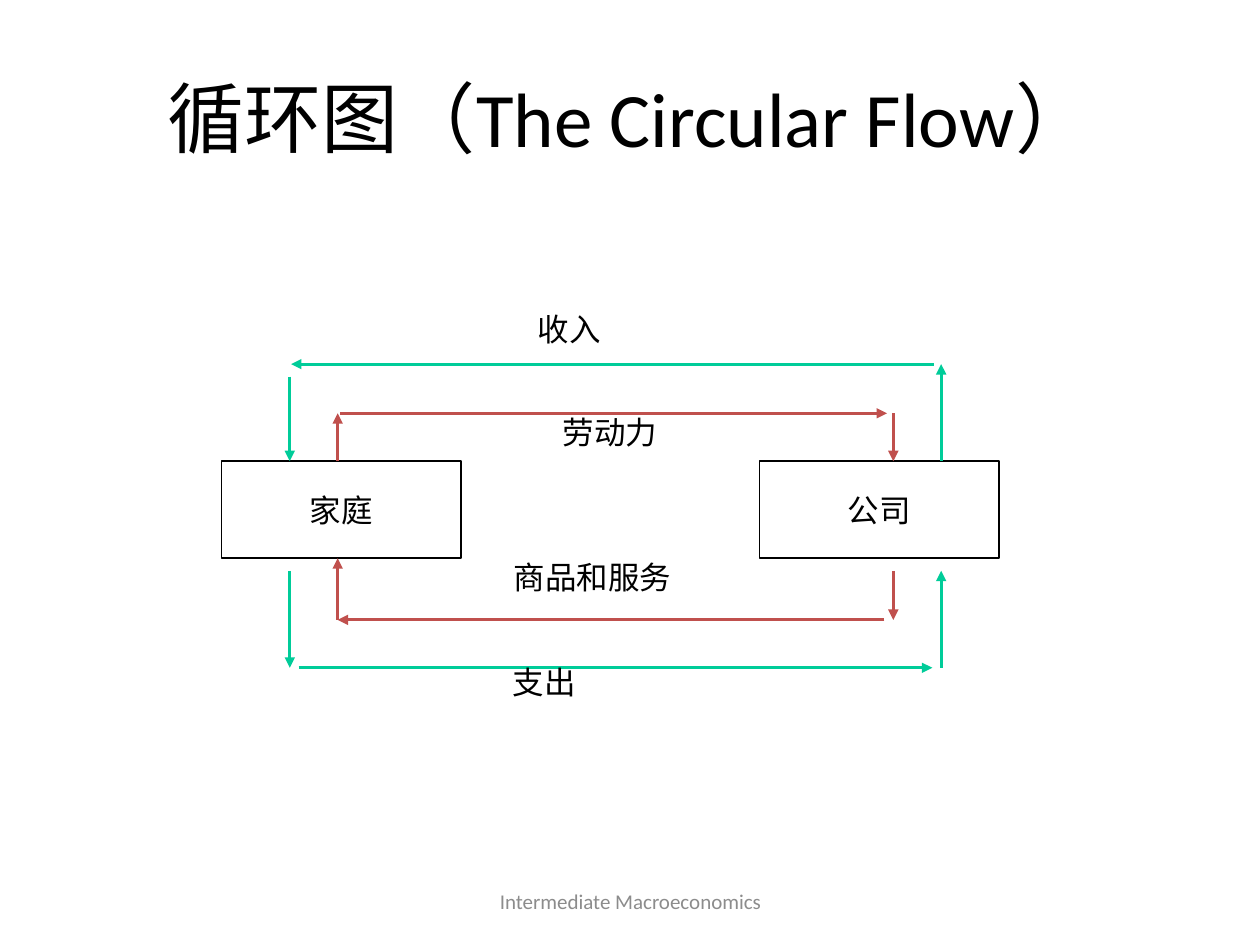
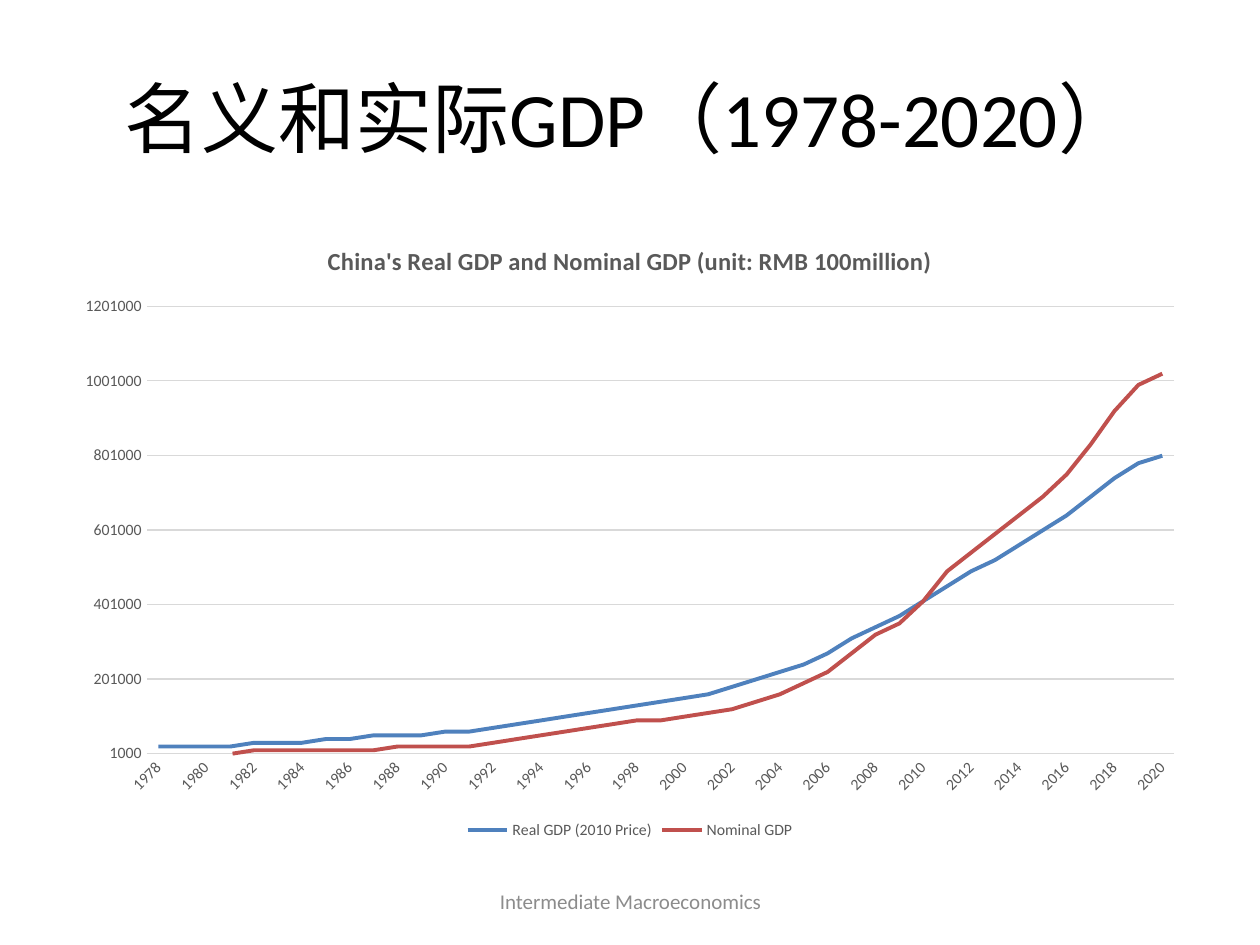
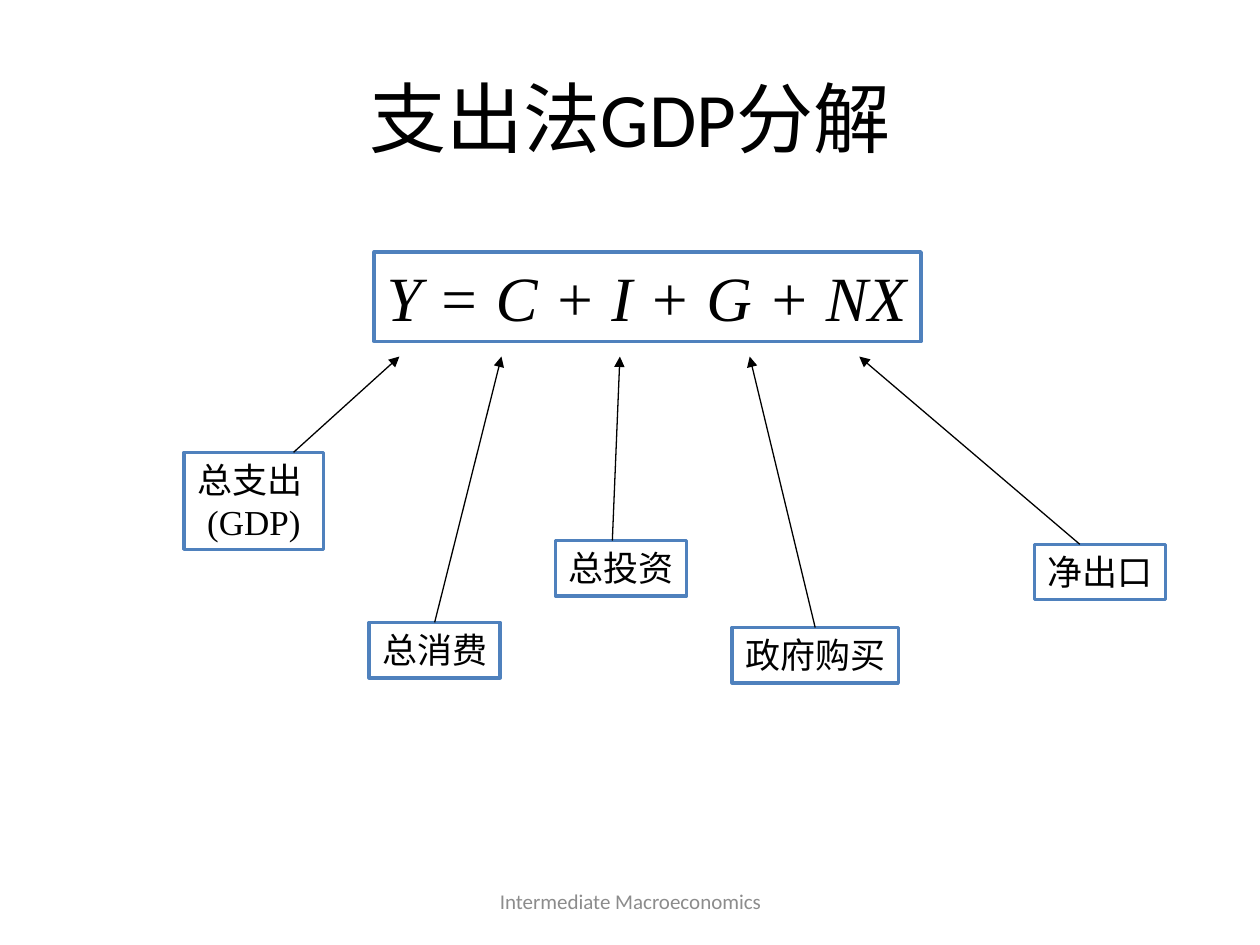
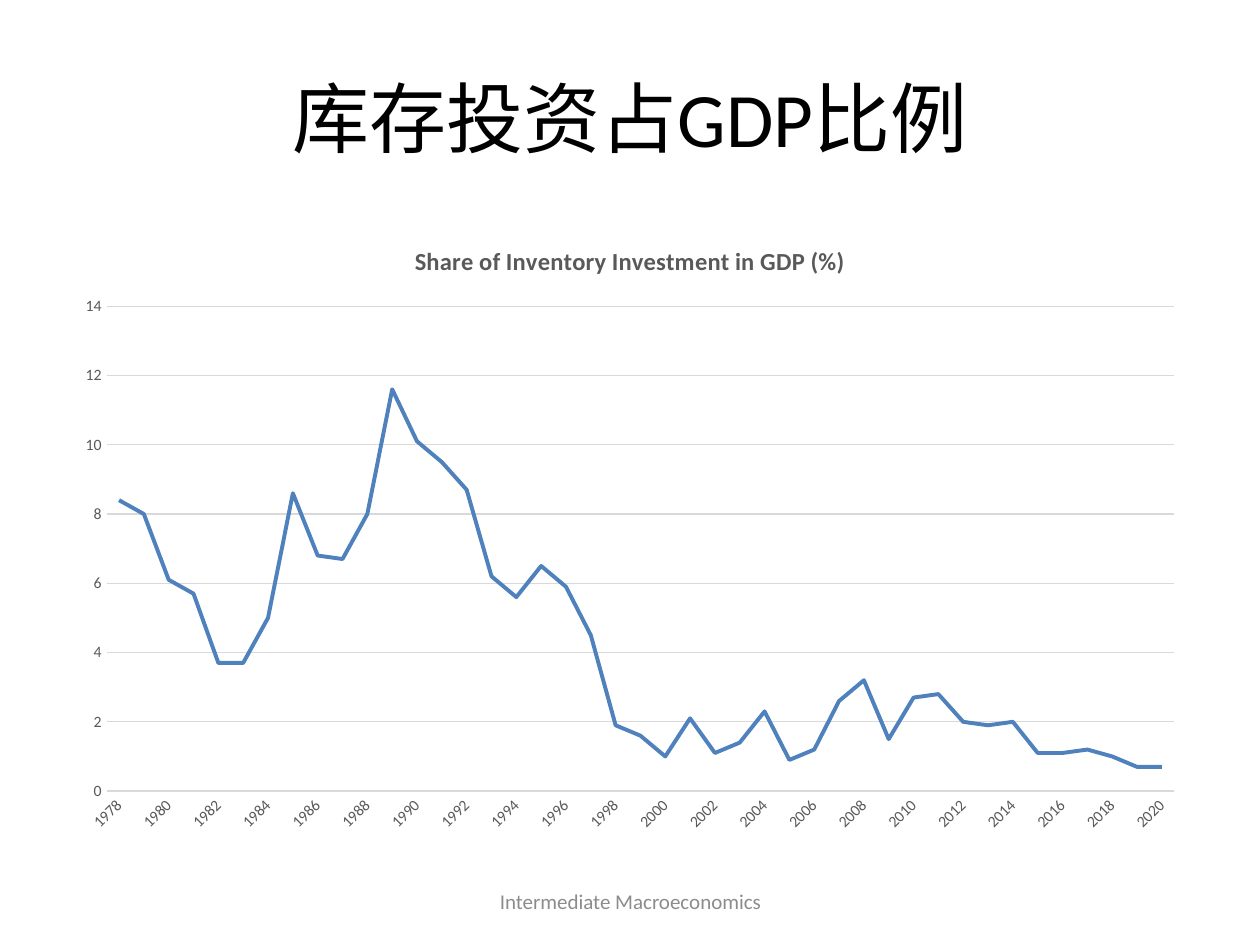
from dataclasses import dataclass

from lxml.etree import SubElement
from pptx import Presentation
from pptx.chart.data import CategoryChartData
from pptx.dml.color import RGBColor
from pptx.enum.chart import XL_CHART_TYPE as ChartType
from pptx.enum.chart import XL_LEGEND_POSITION as LegendPosition
from pptx.enum.chart import XL_TICK_MARK as TickMark
from pptx.enum.shapes import MSO_CONNECTOR as Connector
from pptx.enum.shapes import MSO_SHAPE as Shape
from pptx.enum.text import MSO_ANCHOR as Anchor
from pptx.enum.text import MSO_AUTO_SIZE as AutoSize
from pptx.enum.text import PP_ALIGN as Align
from pptx.oxml.ns import qn
from pptx.util import Inches, Pt


@dataclass(frozen=True)
class Theme:
    sans: str = "Calibri"
    serif: str = "Times New Roman"
    ink: str = "000000"
    paper: str = "FFFFFF"
    footer: str = "8C8C8C"
    chart_text: str = "595959"
    grid: str = "D9D9D9"
    blue: str = "4F81BD"
    red: str = "C0504D"
    green: str = "00CC99"
    title_size: float = 44
    formula_size: float = 36
    term_size: float = 20
    flow_size: float = 18
    chart_title_size: float = 14
    footer_size: float = 12
    axis_size: float = 9
    hairline: float = 0.75
    flow_line: float = 1.75
    frame_line: float = 2
    series_line: float = 2.25


@dataclass(frozen=True)
class Box:
    left: float
    top: float
    width: float
    height: float

    def lengths(self):
        return [Inches(v) for v in (self.left, self.top, self.width, self.height)]

    def inner(self, left, top, width, height):
        return Box(self.left + left, self.top + top, width, height)

    def point(self, x, y):
        return Inches(self.left + x), Inches(self.top + y)


THEME = Theme()
TITLE_BOX = Box(0.5, 0.3, 9, 1.25)
FOOTER_BOX = Box(3.42, 6.95, 3.17, 0.4)
CHART_BOX = Box(0.5, 1.75, 9, 4.95)
FLOW_BOX = Box(1.76, 2.41, 6.17, 3.2)
FORMULA_BOX = Box(1.46, 2, 7.79, 3.42)
FOOTER = "Intermediate Macroeconomics"

YEARS = [str(year) for year in range(1978, 2021)]
REAL_GDP = [
    2, 2, 2, 2, 3, 3, 3, 4, 4, 5, 5, 5, 6, 6, 7, 8, 9, 10, 11, 12, 13, 14, 15, 16,
    18, 20, 22, 24, 27, 31, 34, 37, 41, 45, 49, 52, 56, 60, 64, 69, 74, 78, 80,
]
NOMINAL_GDP = [
    0, 0, 0, 0, 1, 1, 1, 1, 1, 1, 2, 2, 2, 2, 3, 4, 5, 6, 7, 8, 9, 9, 10, 11,
    12, 14, 16, 19, 22, 27, 32, 35, 41, 49, 54, 59, 64, 69, 75, 83, 92, 99, 102,
]
INVENTORY_SHARE = [
    8.4, 8, 6.1, 5.7, 3.7, 3.7, 5, 8.6, 6.8, 6.7, 8, 11.6, 10.1, 9.5, 8.7,
    6.2, 5.6, 6.5, 5.9, 4.5, 1.9, 1.6, 1, 2.1, 1.1, 1.4, 2.3, 0.9, 1.2,
    2.6, 3.2, 1.5, 2.7, 2.8, 2, 1.9, 2, 1.1, 1.1, 1.2, 1, 0.7, 0.7,
]

# Each arrow: x and y of its start, then of its end, within the flow diagram
MONEY_ARROWS = [
    (5.71, 1.25, 5.71, 0.48), (5.65, 0.48, 0.55, 0.48), (0.54, 0.58, 0.54, 1.25),
    (0.54, 2.12, 0.54, 2.89), (0.61, 2.89, 5.64, 2.89), (5.71, 2.89, 5.71, 2.12),
]
GOODS_ARROWS = [
    (0.92, 1.25, 0.92, 0.87), (0.94, 0.87, 5.28, 0.87), (5.33, 0.87, 5.33, 1.25),
    (5.33, 2.12, 5.33, 2.51), (5.26, 2.51, 0.92, 2.51), (0.92, 2.51, 0.92, 2.02),
]
FLOW_LABELS = [
    ("收入", 2.41, 0, 0.71), ("劳动力", 2.61, 0.82, 0.96),
    ("商品和服务", 2.22, 1.97, 1.46), ("支出", 2.21, 2.8, 0.71),
]
# Lines of text, place, arrow start from the frame's left (None: middle), arrow tip
FORMULA_TERMS = [
    (["总支出 ", "(GDP)"], (0, 1.59, 1.11, 0.77), 0.87, 1.71),
    (["总消费"], (1.47, 2.94, 1.04, 0.44), None, 2.52),
    (["总投资"], (2.95, 2.29, 1.04, 0.44), 0.45, 3.46),
    (["政府购买"], (4.35, 2.98, 1.32, 0.44), None, 4.49),
    (["净出口"], (6.75, 2.32, 1.04, 0.44), 0.36, 5.36),
]


def rgb(color):
    return RGBColor.from_string(color)


def assign(target, values):
    for name, value in values.items():
        setattr(target, name, value)


def style_font(font, face, size, color, **extra):
    assign(font, {"name": face, "size": Pt(size), **extra})
    font.color.rgb = rgb(color)


def style_line(line, color, width):
    line.color.rgb = rgb(color)
    line.width = Pt(width)


def write(frame, lines, face, size, color=THEME.ink, align=Align.CENTER,
          italic=None, **layout):
    """Fill a text frame with one paragraph a line; layout holds frame attributes."""
    assign(frame, layout)
    for number, line in enumerate(lines):
        paragraph = frame.add_paragraph() if number else frame.paragraphs[0]
        paragraph.alignment = align
        run = paragraph.add_run()
        run.text = line
        style_font(run.font, face, size, color, italic=italic)


def add_frame(shapes, box, lines, size, color, width, **text):
    frame = shapes.add_shape(Shape.RECTANGLE, *box.lengths())
    frame.shadow.inherit = False
    frame.fill.solid()
    frame.fill.fore_color.rgb = rgb(THEME.paper)
    style_line(frame.line, color, width)
    write(frame.text_frame, lines, THEME.serif, size, word_wrap=False, **text)
    return frame


def add_arrow(shapes, start, end, color, width):
    arrow = shapes.add_connector(Connector.STRAIGHT, *start, *end)
    style_line(arrow.line, color, width)
    properties = arrow._element.spPr
    SubElement(properties.find(qn("a:ln")), qn("a:tailEnd"), type="triangle")
    SubElement(properties, qn("a:effectLst"))
    return arrow


def add_titled_slide(deck, title):
    slide = deck.slides.add_slide(deck.slide_layouts[5])
    heading = slide.shapes.title
    assign(heading, dict(zip(("left", "top", "width", "height"), TITLE_BOX.lengths())))
    write(heading.text_frame, [title], THEME.sans, THEME.title_size,
          vertical_anchor=Anchor.MIDDLE)
    footer = slide.shapes.add_textbox(*FOOTER_BOX.lengths())
    write(footer.text_frame, [FOOTER], THEME.sans, THEME.footer_size, THEME.footer,
          word_wrap=True, vertical_anchor=Anchor.MIDDLE)
    return slide


def add_circular_flow(slide, box):
    shapes = slide.shapes.add_group_shape().shapes
    for sector, left in (("家庭", 0), ("公司", 4.27)):
        add_frame(shapes, box.inner(left, 1.25, 1.9, 0.77), [sector], THEME.flow_size,
                  THEME.ink, THEME.hairline, vertical_anchor=Anchor.MIDDLE)
    for color, arrows in ((THEME.green, MONEY_ARROWS), (THEME.red, GOODS_ARROWS)):
        for x1, y1, x2, y2 in arrows:
            add_arrow(shapes, box.point(x1, y1), box.point(x2, y2),
                      color, THEME.flow_line)
    for flow, left, top, width in FLOW_LABELS:
        label = shapes.add_textbox(*box.inner(left, top, width, 0.4).lengths())
        write(label.text_frame, [flow], THEME.serif, THEME.flow_size, align=Align.LEFT,
              word_wrap=False, auto_size=AutoSize.SHAPE_TO_FIT_TEXT)


def add_formula(slide, box):
    grow = {"auto_size": AutoSize.SHAPE_TO_FIT_TEXT, "vertical_anchor": Anchor.TOP}
    add_frame(slide.shapes, box.inner(1.51, 0, 4.34, 0.71), ["Y = C + I + G + NX"],
              THEME.formula_size, THEME.blue, THEME.frame_line,
              align=Align.LEFT, italic=True, **grow)
    for lines, place, exit_x, tip_x in FORMULA_TERMS:
        shapes = slide.shapes.add_group_shape().shapes
        term_box = box.inner(*place)
        term = add_frame(shapes, term_box, lines, THEME.term_size,
                         THEME.blue, THEME.frame_line, **grow)
        start_x = term_box.width / 2 if exit_x is None else exit_x
        arrow = add_arrow(shapes, term_box.point(start_x, 0), box.point(tip_x, 0.83),
                          THEME.ink, THEME.hairline)
        if exit_x is None:
            arrow.begin_connect(term, 0)


def style_axes(chart):
    years, values = chart.category_axis, chart.value_axis
    for axis in (years, values):
        assign(axis, {"major_tick_mark": TickMark.NONE, "minor_tick_mark": TickMark.NONE})
        style_font(axis.tick_labels.font, THEME.sans, THEME.axis_size, THEME.chart_text)
        # Automatic label rotation
        axis._element.find(qn("c:txPr")).find(qn("a:bodyPr")).set("rot", "-60000000")
    assign(values.tick_labels, {"number_format": "General",
                                "number_format_is_linked": False})
    style_line(years.format.line, THEME.grid, THEME.hairline)
    values.format.line.fill.background()
    values.has_major_gridlines = True
    style_line(values.major_gridlines.format.line, THEME.grid, THEME.hairline)


def add_year_chart(slide, box, title, series, minimum=None):
    """Draw (name, values, colour) series over the years; several get a legend."""
    data = CategoryChartData()
    data.categories = YEARS
    for name, values, _ in series:
        data.add_series(name, values)
    chart = slide.shapes.add_chart(ChartType.LINE, *box.lengths(), data).chart
    style_font(chart.font, THEME.sans, 10, THEME.ink)
    chart.has_title = True
    write(chart.chart_title.text_frame, [title], THEME.sans,
          THEME.chart_title_size, THEME.chart_text)
    chart.plots[0].vary_by_categories = False
    for curve, (_, _, color) in zip(chart.plots[0].series, series):
        curve.smooth = False
        style_line(curve.format.line, color, THEME.series_line)
    style_axes(chart)
    if minimum is not None:
        chart.value_axis.minimum_scale = minimum
    chart.has_legend = len(series) > 1
    if chart.has_legend:
        assign(chart.legend, {"position": LegendPosition.BOTTOM,
                              "include_in_layout": False})
        style_font(chart.legend.font, THEME.sans, THEME.axis_size, THEME.chart_text)


def main():
    deck = Presentation()
    assign(deck, {"slide_width": Inches(10), "slide_height": Inches(7.5)})

    add_circular_flow(add_titled_slide(deck, "循环图（The Circular Flow）"), FLOW_BOX)
    add_year_chart(
        add_titled_slide(deck, "名义和实际GDP（1978-2020）"), CHART_BOX,
        "China's Real GDP and Nominal GDP (unit: RMB 100million)",
        [("Real GDP (2010 Price)", [v * 10_000 for v in REAL_GDP], THEME.blue),
         ("Nominal GDP", [v * 10_000 for v in NOMINAL_GDP], THEME.red)],
        minimum=1000)
    add_formula(add_titled_slide(deck, "支出法GDP分解"), FORMULA_BOX)
    add_year_chart(
        add_titled_slide(deck, "库存投资占GDP比例"), CHART_BOX,
        "Share of Inventory Investment in GDP (%)",
        [("Series 1", INVENTORY_SHARE, THEME.blue)])

    deck.save("out.pptx")


if __name__ == "__main__":
    main()
